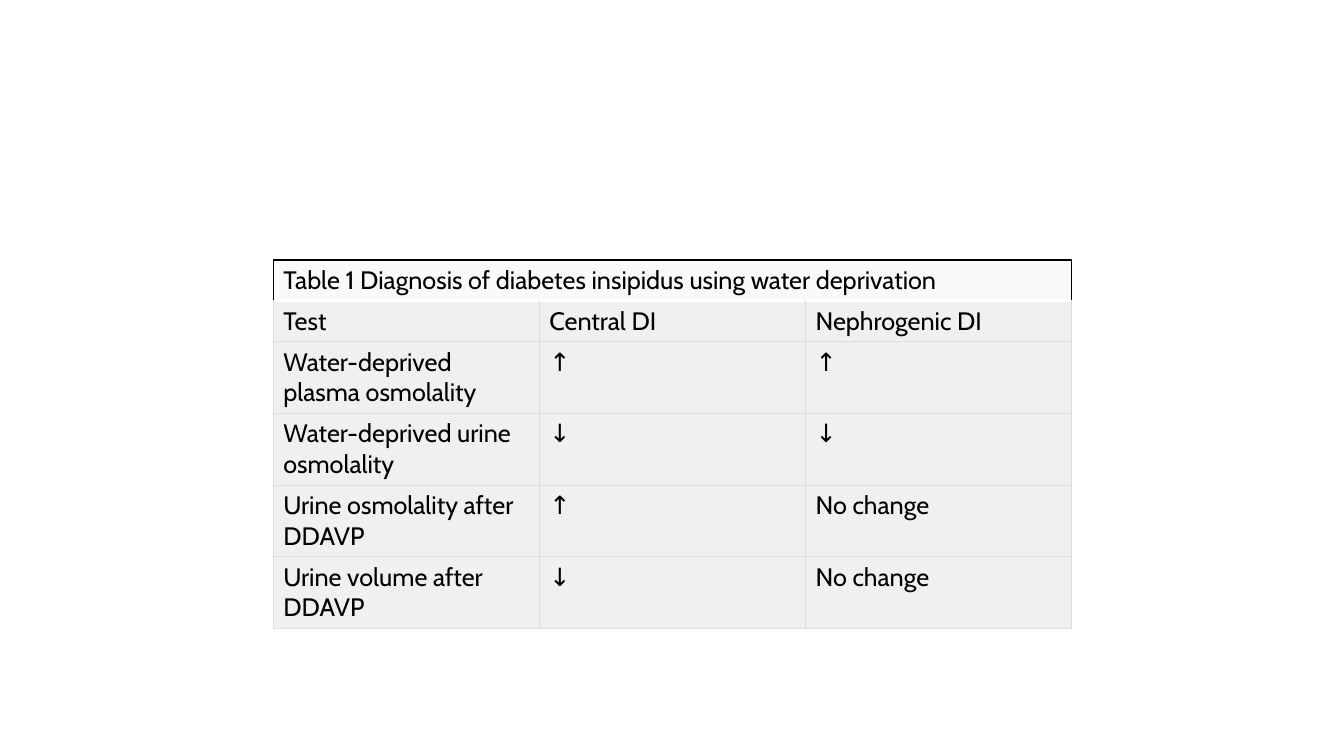
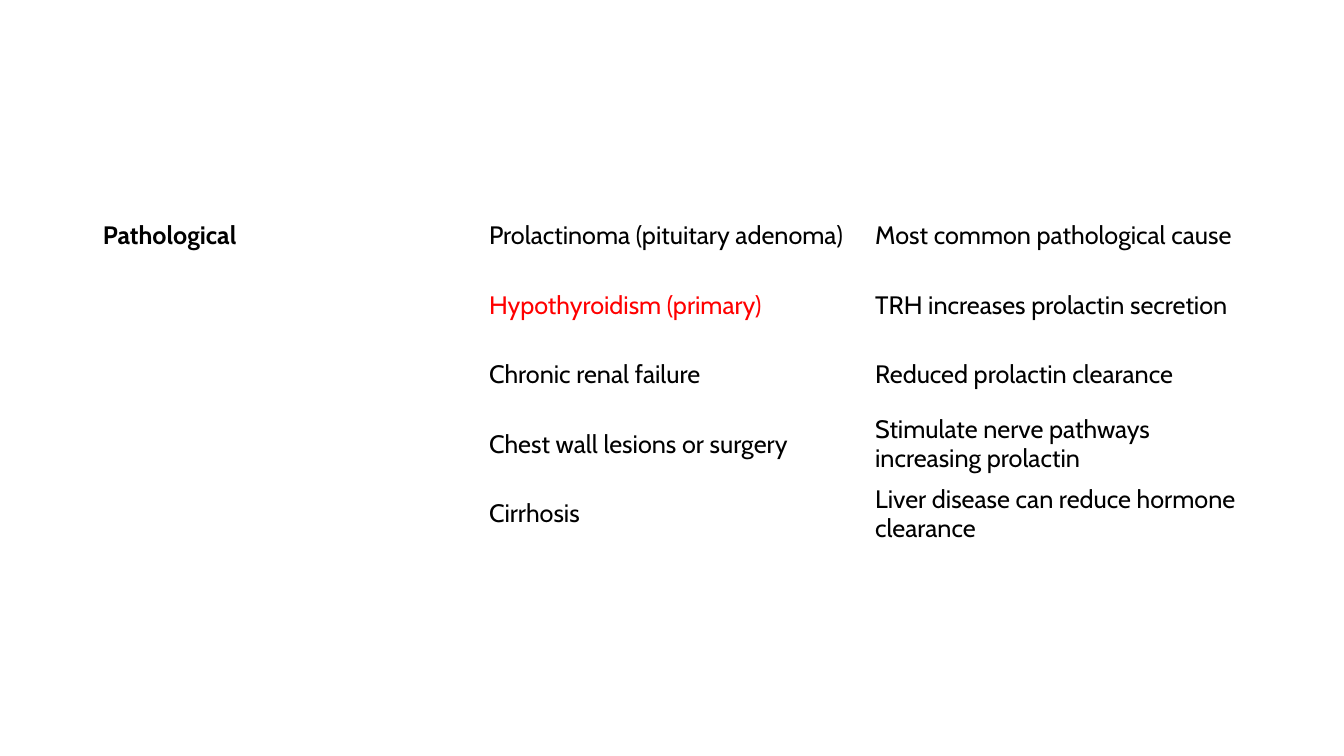
"""Builds two endocrinology table slides."""
from lxml import etree
from pptx import Presentation
from pptx.dml.color import RGBColor
from pptx.enum.text import MSO_ANCHOR
from pptx.oxml.ns import qn
from pptx.util import Inches, Pt

MIDDLE, TOP = MSO_ANCHOR.MIDDLE, MSO_ANCHOR.TOP
BLACK = RGBColor(0x00, 0x00, 0x00)
RED = RGBColor(0xFF, 0x00, 0x00)
WHITE = RGBColor(0xFF, 0xFF, 0xFF)
CAPTION_GRAY = RGBColor(0xFA, 0xFA, 0xFA)
CELL_GRAY = RGBColor(0xF0, 0xF0, 0xF0)
BORDER_GRAY = RGBColor(0xDE, 0xDE, 0xDE)
FONT = "Cabin"
FONT_SIZE = Pt(18)

DEPRIVATION_ROWS = [
    ("Table 1 Diagnosis of diabetes insipidus using water deprivation", "", ""),
    ("Test", "Central DI", "Nephrogenic DI"),
    ("Water-deprived plasma osmolality", "↑", "↑"),
    ("Water-deprived urine osmolality", "↓", "↓"),
    ("Urine osmolality after DDAVP", "↑", "No change"),
    ("Urine volume after DDAVP", "↓", "No change"),
]
DEPRIVATION_HEIGHTS = [0.4] * 2 + [0.71] * 4
PROLACTIN_ROWS = [
    ("Pathological", "Prolactinoma (pituitary adenoma)", "Most common pathological cause"),
    ("", "Hypothyroidism (primary)", "TRH increases prolactin secretion"),
    ("", "Chronic renal failure", "Reduced prolactin clearance"),
    ("", "Chest wall lesions or surgery", "Stimulate nerve pathways increasing prolactin"),
    ("", "Cirrhosis", "Liver disease can reduce hormone clearance"),
]
PROLACTIN_HEIGHTS = [0.69] * 5


def add_plain_table(deck, left, top, column_width, heights):
    page = deck.slides.add_slide(deck.slide_layouts[6])
    columns = 3
    table = page.shapes.add_table(
        len(heights), columns, Inches(left), Inches(top),
        Inches(column_width * columns), Inches(sum(heights))).table
    table.first_row = table.horz_banding = False
    for column in table.columns:
        column.width = Inches(column_width)
    for row, height in zip(table.rows, heights):
        row.height = Inches(height)
    return table


def set_borders(cell, sides, color, width):
    properties = cell._tc.get_or_add_tcPr()
    for side in sides:
        line = etree.SubElement(properties, qn(f"a:ln{side}"), w=str(Pt(width)))
        fill = etree.SubElement(line, qn("a:solidFill"))
        etree.SubElement(fill, qn("a:srgbClr"), val=str(color))


def fill_cell(cell, text, fill=None, anchor=TOP, color=BLACK, bold=False, spacing=None):
    if fill is None:
        cell.fill.background()
    else:
        cell.fill.solid()
        cell.fill.fore_color.rgb = fill
    cell.vertical_anchor = anchor
    cell.text = text
    para = cell.text_frame.paragraphs[0]
    para.line_spacing = spacing
    para.font.name, para.font.size, para.font.bold = FONT, FONT_SIZE, bold
    para.font.color.rgb = color


def add_deprivation_slide(deck):
    table = add_plain_table(deck, 2.71, 2.58, 2.64, DEPRIVATION_HEIGHTS)
    table.cell(0, 0).merge(table.cell(0, 2))
    for r, texts in enumerate(DEPRIVATION_ROWS):
        for c, text in enumerate(texts):
            cell = table.cell(r, c)
            if r == 0:
                set_borders(cell, "LRTB", BLACK, 1)
                fill_cell(cell, text, CAPTION_GRAY, MIDDLE)
            else:
                set_borders(cell, "LRB" if r == 1 else "LRTB", BORDER_GRAY, 0.75)
                fill_cell(cell, text, CELL_GRAY)


def add_prolactin_slide(deck):
    table = add_plain_table(deck, 0.92, 2, 3.83, PROLACTIN_HEIGHTS)
    for r, texts in enumerate(PROLACTIN_ROWS):
        for c, text in enumerate(texts):
            cell = table.cell(r, c)
            set_borders(cell, "LRTB", WHITE, 1)
            color = RED if text.startswith("Hypothyroidism") else BLACK
            fill_cell(cell, text, anchor=MIDDLE, color=color, bold=c == 0, spacing=Pt(21))


def main():
    deck = Presentation()
    deck.slide_width, deck.slide_height = Inches(13.33), Inches(7.5)
    add_deprivation_slide(deck)
    add_prolactin_slide(deck)
    deck.save("out.pptx")


if __name__ == "__main__":
    main()
